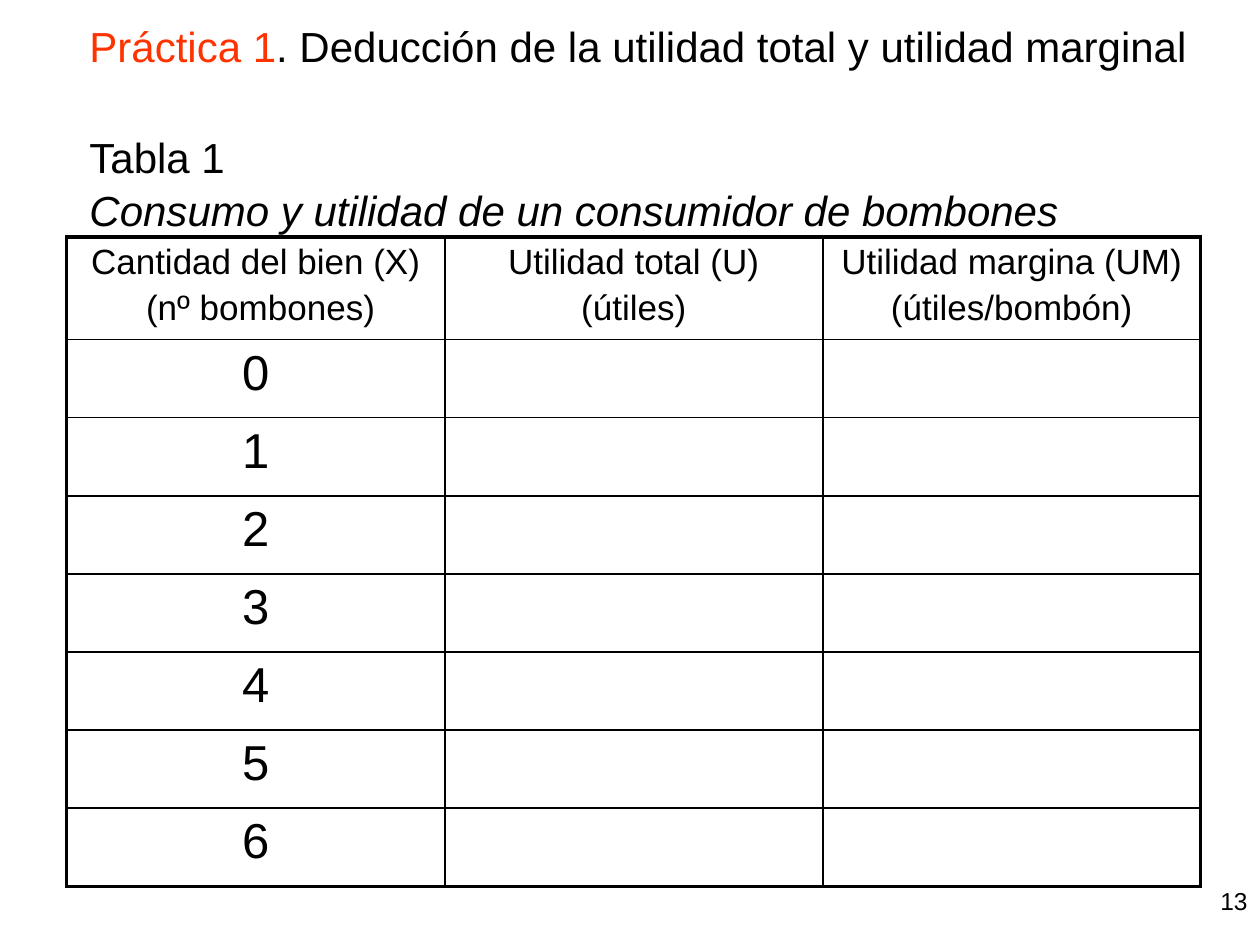
from pptx import Presentation
from pptx import util as u
from pptx.dml.color import RGBColor
from pptx.enum import text
from pptx.oxml import parse_xml
from pptx.oxml.ns import nsdecls

COLORS = {"ink": "000000", "accent": "FF3300"}
HEADERS = [
    "Cantidad del bien (X)\n (nº bombones)",
    "Utilidad total (U)\n(útiles)",
    "Utilidad margina (UM)\n(útiles/bombón)",
]
QUANTITIES = range(7)


class SlideBuilder:
    font = "Arial"
    thin, thick = 1, 2.25

    def __init__(self, page):
        self.page = page

    def format_span(self, span, size, color="ink", italic=False):
        span.font.name = self.font
        span.font.size = u.Pt(size)
        span.font.italic = italic
        span.font.color.rgb = RGBColor.from_string(COLORS[color])

    def place(self, box, left, top, width, height):
        box.left, box.top = u.Inches(left), u.Inches(top)
        box.width, box.height = u.Inches(width), u.Inches(height)

    def title(self, bounds, lines, size):
        box = self.page.shapes.title
        self.place(box, *bounds)
        frame = box.text_frame
        frame.auto_size = text.MSO_AUTO_SIZE.NONE
        frame.vertical_anchor = text.MSO_ANCHOR.MIDDLE
        for index, (gap, spans) in enumerate(lines):
            para = frame.add_paragraph() if index else frame.paragraphs[0]
            para.alignment = text.PP_ALIGN.LEFT
            para.space_before = u.Pt(gap)
            for words, color, italic in spans:
                span = para.add_run()
                span.text = words
                self.format_span(span, size, color, italic)

    def label(self, bounds, words, size):
        box = self.page.shapes.add_textbox(*map(u.Inches, bounds))
        box.text_frame.word_wrap = True
        para = box.text_frame.paragraphs[0]
        para.text = words
        para.alignment = text.PP_ALIGN.RIGHT
        self.format_span(para.runs[0], size)

    def cell_borders(self, cell, outer):
        properties = cell._tc.get_or_add_tcPr()
        for index, side in enumerate(("lnL", "lnR", "lnT", "lnB")):
            width = u.Pt(self.thick if outer[index] else self.thin)
            properties.insert(index, parse_xml(
                f'<a:{side} {nsdecls("a")} w="{width}"><a:solidFill>'
                f'<a:srgbClr val="{COLORS["ink"]}"/></a:solidFill></a:{side}>'))

    def cell_text(self, cell, words, size):
        cell.text = words
        for index, para in enumerate(cell.text_frame.paragraphs):
            para.alignment = text.PP_ALIGN.CENTER
            para.space_before = u.Pt(3.5 if index else 0)
            for span in para.runs:
                self.format_span(span, size)

    def table(self, left, top, column_width, heights, rows, sizes):
        count = len(rows[0])
        grid = self.page.shapes.add_table(
            len(rows), count, u.Inches(left), u.Inches(top),
            u.Inches(column_width * count), u.Inches(sum(heights))).table
        grid.first_row = grid.horz_banding = False
        for column in grid.columns:
            column.width = u.Inches(column_width)
        for r, values in enumerate(rows):
            grid.rows[r].height = u.Inches(heights[r])
            for c, words in enumerate(values):
                cell = grid.cell(r, c)
                cell.fill.background()
                self.cell_text(cell, words, sizes[r])
                self.cell_borders(cell, (c == 0, c == count - 1,
                                         r == 0, r == len(rows) - 1))


def main():
    deck = Presentation()
    deck.slide_width, deck.slide_height = u.Inches(10), u.Inches(7.5)
    builder = SlideBuilder(deck.slides.add_slide(deck.slide_layouts[5]))

    builder.label((7.67, 6.98, 2.33, 0.52), "13", 14)
    builder.title((0.61, 0.39, 9, 1.25), [
        (0, [("Práctica 1", "accent", False),
             (". Deducción de la utilidad total y utilidad marginal", "ink", False)]),
        (34.5, [("Tabla 1", "ink", False)]),
        (1.5, [("Consumo y utilidad de un consumidor de bombones", "ink", True)]),
    ], 24)
    rows = [HEADERS] + [[str(quantity), "", ""] for quantity in QUANTITIES]
    body_count = len(QUANTITIES)
    builder.table(0.53, 1.88, 3, [0.78] + [0.62] * body_count,
                  rows, [20] + [28] * body_count)
    deck.save("out.pptx")


if __name__ == "__main__":
    main()
